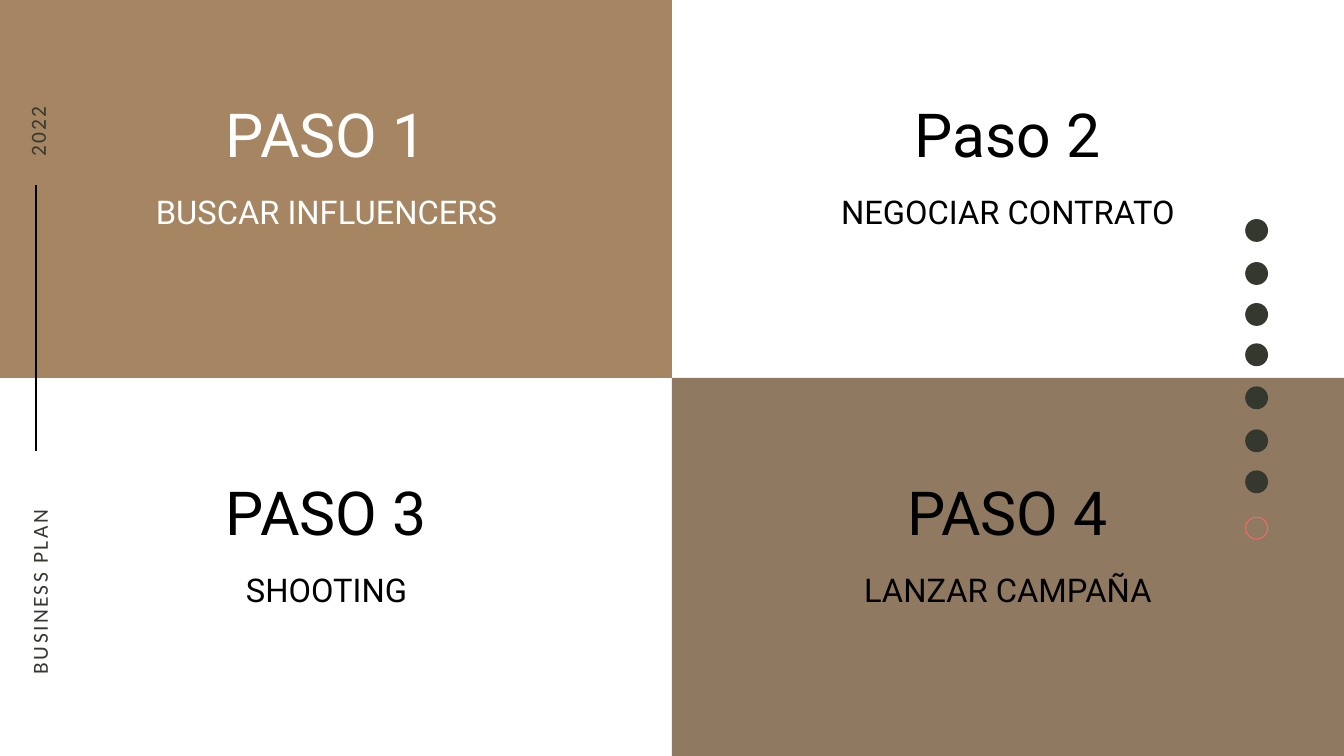
"""Builds the four-step campaign slide."""
import dataclasses

import lxml.etree
import pptx
import pptx.dml.color
import pptx.enum.shapes
import pptx.enum.text
import pptx.oxml.ns
import pptx.util

SHAPE = pptx.enum.shapes.MSO_SHAPE
ALIGN = pptx.enum.text.PP_ALIGN


@dataclasses.dataclass(frozen=True)
class Theme:
    """Grid, colours, fonts and type sizes of the slide."""
    columns: float = 20
    rows: float = 11.25
    cell: int = pptx.util.Inches(1)
    sand: str = "A68562"
    earth: str = "684B2B"
    white: str = "FFFFFF"
    black: str = "000000"
    olive: str = "35382F"
    coral: str = "FF6961"
    body_font: str = "Roboto"
    margin_font: str = "Calibri"
    step_size: float = 65
    action_size: float = 35
    margin_size: float = 23
    step_leading: float = 78
    action_leading: float = 45.5
    margin_leading: float = 32.2


def write(holder, text, *, font, size, color, leading, align=ALIGN.CENTER, tracking=0):
    """Put one formatted paragraph into a shape."""
    frame = holder.text_frame
    frame.margin_left = frame.margin_right = frame.margin_top = frame.margin_bottom = 0
    frame.word_wrap = True
    frame.vertical_anchor = pptx.enum.text.MSO_ANCHOR.TOP
    frame.auto_size = pptx.enum.text.MSO_AUTO_SIZE.SHAPE_TO_FIT_TEXT
    paragraph = frame.paragraphs[0]
    paragraph.alignment = align
    paragraph.line_spacing = pptx.util.Pt(leading)
    paragraph.space_before = pptx.util.Pt(0)
    run = paragraph.add_run()
    run.text = text
    run.font.name = font
    run.font.size = pptx.util.Pt(size)
    run.font.color.rgb = pptx.dml.color.RGBColor.from_string(color)
    if tracking:
        run._r.get_or_add_rPr().set("spc", str(round(tracking * 100)))


class StepSlide:
    """Holds the theme and the slide, and draws in grid columns and rows."""

    def __init__(self, deck, theme):
        """Size the deck and add its slide."""
        self.theme = theme
        deck.slide_width, deck.slide_height = self.cells(theme.columns, theme.rows)
        self.slide = deck.slides.add_slide(deck.slide_layouts[5])

    def cells(self, *lengths):
        """Turn grid lengths into slide units."""
        return [round(length * self.theme.cell) for length in lengths]

    def block(self, preset, column, row, width, height, color, opacity=100):
        """Draw a filled preset shape without outline."""
        block = self.slide.shapes.add_shape(preset, *self.cells(column, row, width, height))
        block.shadow.inherit = False
        block.line.fill.background()
        block.fill.solid()
        block.fill.fore_color.rgb = pptx.dml.color.RGBColor.from_string(color)
        if opacity < 100:
            tint = block.element.spPr.find(".//" + pptx.oxml.ns.qn("a:srgbClr"))
            alpha = lxml.etree.SubElement(tint, pptx.oxml.ns.qn("a:alpha"))
            alpha.set("val", str(opacity * 1000))
        return block

    def title(self, text, column, row, width, height, **style):
        """Move the title placeholder to the front and fill it."""
        title = self.slide.shapes.title
        self.slide.shapes.element.append(title.element)
        title.left, title.top, title.width, title.height = self.cells(column, row, width, height)
        write(title, text, **style)

    def label(self, text, column, row, width, height, rotation=0, **style):
        """Add a text box."""
        label = self.slide.shapes.add_textbox(*self.cells(column, row, width, height))
        label.rotation = rotation
        write(label, text, **style)

    def step(self, heading, action, color, across, down):
        """Write a step heading and its action in one quarter."""
        theme = self.theme
        shift, drop = across * 10.14, down * theme.rows / 2
        place_heading = self.label if across or down else self.title
        place_heading(heading, 1.12 + shift, 1.44 + drop, 7.47, 1.18, font=theme.body_font,
                      size=theme.step_size, color=color, leading=theme.step_leading)
        self.label(action, 2 + shift, 2.81 + drop, 5.72, 0.65, font=theme.body_font,
                   size=theme.action_size, color=color, leading=theme.action_leading)

    def margin_note(self, text, column, row, width, align):
        """Write upright text in the left margin."""
        theme = self.theme
        self.label(text, column, row, width, 0.43, rotation=270, font=theme.margin_font,
                   size=theme.margin_size, color=theme.olive,
                   leading=theme.margin_leading, align=align, tracking=2.5)

    def rule(self, column, start, end):
        """Draw a vertical line."""
        rule = self.slide.shapes.add_connector(pptx.enum.shapes.MSO_CONNECTOR.STRAIGHT,
                                               *self.cells(column, start, column, end))
        rule.line.width = pptx.util.Pt(2.25)
        rule.line.color.rgb = pptx.dml.color.RGBColor.from_string(self.theme.black)
        lxml.etree.SubElement(rule.element.spPr, pptx.oxml.ns.qn("a:effectLst"))


def main():
    """Build and save the slide."""
    theme = Theme()
    deck = pptx.Presentation()
    page = StepSlide(deck, theme)
    half_width, half_height = theme.columns / 2, theme.rows / 2

    page.block(SHAPE.RECTANGLE, 0, 0, half_width, half_height, theme.sand)
    page.block(SHAPE.RECTANGLE, half_width, half_height, half_width, half_height,
               theme.earth, opacity=74)

    steps = [
        ("PASO 1", "BUSCAR INFLUENCERS", theme.white),
        ("Paso 2", "NEGOCIAR CONTRATO", theme.black),
        ("PASO 3", "SHOOTING", theme.black),
        ("PASO 4", "LANZAR CAMPAÑA", theme.black),
    ]
    for index, (heading, action, color) in enumerate(steps):
        down, across = divmod(index, 2)
        page.step(heading, action, color, across, down)

    page.margin_note("BUSINESS PLAN", -2.57, 6.7, 6.23, ALIGN.LEFT)
    page.margin_note("2022", -0.97, 1.74, 2.97, ALIGN.CENTER)
    page.rule(0.54, 6.71, 2.75)

    dot_column, dot_size = 18.53, 0.34
    current_dot = page.block(SHAPE.DONUT, dot_column, 7.69, dot_size, dot_size, theme.coral)
    current_dot.adjustments[0] = 0.04
    for row in (3.26, 3.9, 4.51, 5.11, 5.75, 6.39, 7):
        page.block(SHAPE.OVAL, dot_column, row, dot_size, dot_size, theme.olive)

    deck.save("out.pptx")


if __name__ == "__main__":
    main()
